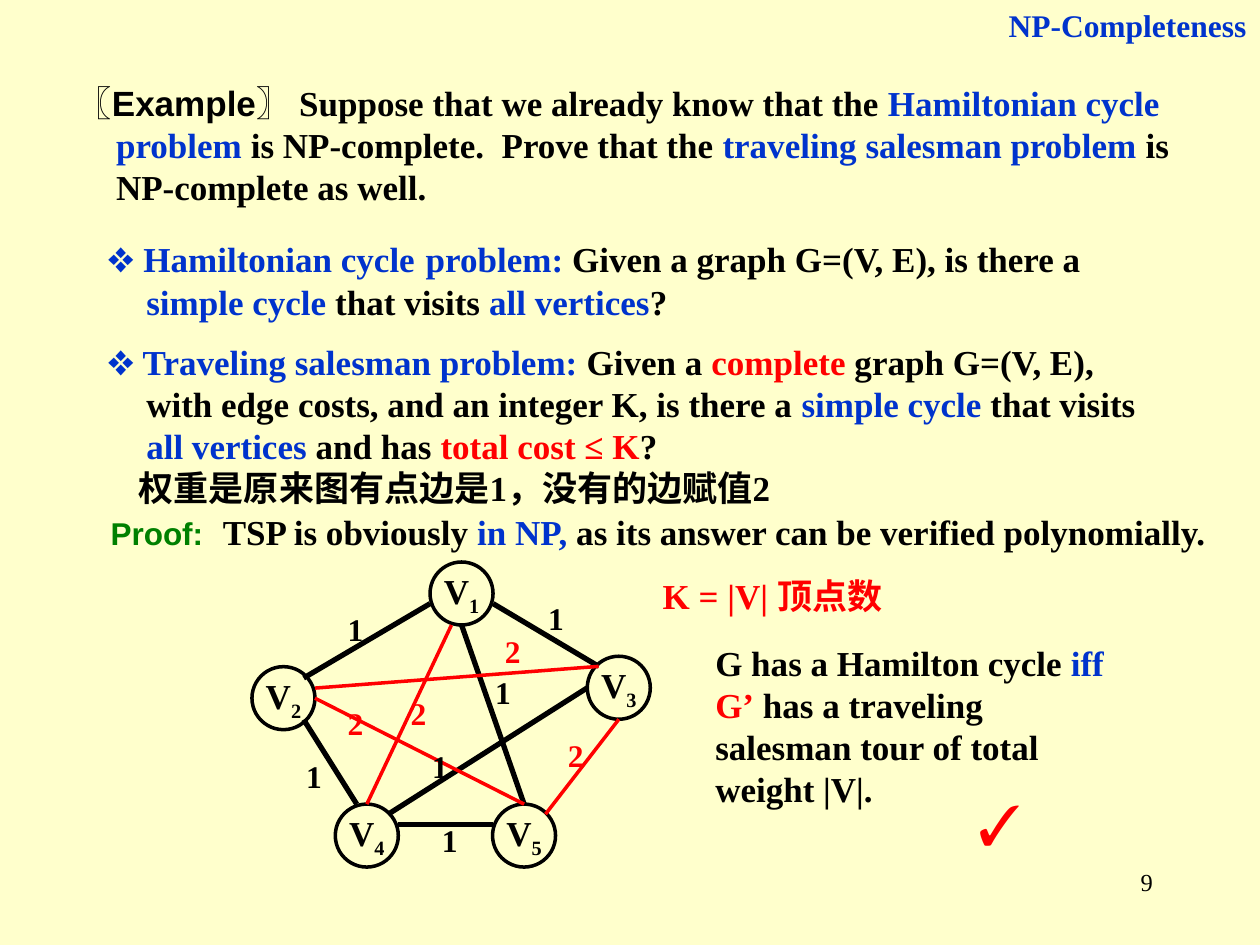
from pptx import Presentation, util as u
from pptx.dml.color import RGBColor
from pptx.enum import shapes, text
from pptx.oxml.ns import qn
from lxml import etree

THEME = dict(
    bg="FFFFCC", ink="000000", blue="0033CC", red="FF0000", green="008000",
    serif="Times New Roman", sans="Arial", cjk="Noto Sans CJK SC",
    body=20, small=18, tick=32, page=14, thick=3, thin=2,
)
PLAIN, MARK = "ink", "blue"

# Text blocks: box (left, top, width, height) in cm, hanging indent, paragraphs.
# A run is (text, colour) with optional font and size; a paragraph may have its own first indent.
BLOCKS = [
    ((1.3, 1.52, 22.86, 2.79), 0.79, [
        [("〖", PLAIN, "cjk"), ("Example", PLAIN, "sans"), ("〗 ", PLAIN, "cjk"),
         ("Suppose that we already know that the ", PLAIN),
         ("Hamiltonian cycle problem ", MARK),
         ("is NP-complete.  Prove that the ", PLAIN),
         ("traveling salesman problem", MARK), (" is NP-complete as well.", PLAIN)]]),
    ((1.91, 6.73, 21.59, 3.68), 0.79, [
        [("❖ Traveling salesman problem: ", MARK), ("Given a ", PLAIN), ("complete", "red"),
         (" graph G=(V, E), with edge costs, and an integer K, is there a ", PLAIN),
         ("simple cycle", MARK), (" that visits ", PLAIN), ("all vertices", MARK),
         (" and has ", PLAIN), ("total cost ≤ K", "red"), ("?", PLAIN)],
        [("权重是原来图有点边是1，没有的边赋值2", PLAIN)]]),
    ((1.91, 4.52, 21.59, 2.11), 0.79, [
        [("❖ Hamiltonian cycle", MARK), (" ", PLAIN, "serif", 24), ("problem: ", MARK),
         ("Given a graph G=(V, E), is there a ", PLAIN), ("simple cycle", MARK),
         (" that visits ", PLAIN), ("all vertices", MARK), ("?", PLAIN)]]),
    ((1.98, 10.16, 23.29, 1.12), 2.36, [
        [("Proof:", "green", "sans", THEME["small"]), ("  ", "green", "sans"),
         ("TSP is obviously ", PLAIN), ("in NP,", MARK),
         (" as its answer can be verified polynomially.", PLAIN)]]),
    ((13.11, 11.46, 4.93, 1.12), 0, [[("K = |V| 顶点数", "red")]]),
    ((14.17, 12.8, 8.69, 3.63), 0, [
        [("G has a Hamilton cycle ", PLAIN), ("iff ", MARK), ("G’", "red"),
         (" has a traveling salesman tour of total weight |V|.", PLAIN)]]),
]

# Graph: node corners in cm; an edge joins points given as fractions of each node's box
NODE = 1.27
NODES = {1: (8.67, 11.33), 2: (5.08, 13.44), 3: (11.84, 13.23), 4: (6.76, 16.21), 5: (9.93, 16.21)}
EDGES = {
    ("ink", "thick"): [
        (1, (0, .66), 2, (.82, .18)), (3, (0, .5), 4, (.84, .16)),
        (1, (1, .66), 3, (.18, .16)), (2, (.82, .84), 4, (.34, 0)),
        (4, (1, .32), 5, (0, .32)), (1, (.5, 1), 5, (.5, 0))],
    ("red", "thin"): [
        (1, (.34, 1), 4, (.5, 0)), (2, (1, .34), 3, (.18, .16)),
        (3, (.5, 1), 5, (.84, .16)), (2, (1, .5), 5, (.5, 0))],
}
COSTS = {
    ("1", "ink"): [(5.92, 15.14), (8.66, 16.43), (8.46, 14.94),
                   (6.76, 12.17), (9.73, 13.44), (10.8, 11.96)],
    ("2", "red"): [(9.93, 12.62), (11.2, 14.71), (8.03, 13.87), (6.76, 14.07)],
}


def color(name):
    return RGBColor.from_string(THEME[name])


def cm(values):
    return [u.Cm(v) for v in values]


def style(font, ink, face="serif", size=THEME["body"], bold=True):
    font.name, font.size, font.bold = THEME[face], u.Pt(size), bold
    font.color.rgb = color(ink)


def add_run(p, words, ink, face="serif", size=THEME["body"]):
    r = p.add_run()
    r.text = words
    style(r.font, ink, face, size)
    ea = etree.SubElement(r._r.rPr, qn("a:ea"))
    ea.set("typeface", THEME["cjk"])
    return r


def add_box(s, box):
    tf = s.shapes.add_textbox(*cm(box)).text_frame
    tf.word_wrap = True
    return tf


def add_label(s, box, words, ink, size, align=text.PP_ALIGN.LEFT, bold=True):
    p = add_box(s, box).paragraphs[0]
    p.text, p.alignment = words, align
    style(p.font, ink, size=size, bold=bold)


def add_block(s, box, hang, paras):
    tf = add_box(s, box)
    for i, runs in enumerate(paras):
        p = tf.add_paragraph() if i else tf.paragraphs[0]
        if hang:
            pPr = p._p.get_or_add_pPr()
            pPr.set("marL", str(u.Cm(hang)))
            pPr.set("indent", str(u.Cm(-0.15 if i else -hang)))
        for run in runs:
            add_run(p, *run)


def add_node(s, number, corner):
    sp = s.shapes.add_shape(shapes.MSO_SHAPE.OVAL, *cm((*corner, NODE, NODE)))
    sp.shadow.inherit = False
    sp.fill.background()
    sp.line.color.rgb, sp.line.width = color("ink"), u.Pt(THEME["thin"])
    tf = sp.text_frame
    tf.margin_left = tf.margin_right = tf.margin_top = tf.margin_bottom = 0
    tf.word_wrap, tf.vertical_anchor = False, text.MSO_ANCHOR.MIDDLE
    p = tf.paragraphs[0]
    p.alignment = text.PP_ALIGN.CENTER
    add_run(p, "V", "ink")
    add_run(p, str(number), "ink").font._element.set("baseline", "-25000")


def add_edge(s, start, start_at, end, end_at, ink, weight):
    points = [corner + NODE * f
              for n, at in ((start, start_at), (end, end_at))
              for corner, f in zip(NODES[n], at)]
    c = s.shapes.add_connector(shapes.MSO_CONNECTOR.STRAIGHT, *cm(points))
    c.line.color.rgb, c.line.width = color(ink), u.Pt(THEME[weight])
    etree.SubElement(c._element.spPr, qn("a:effectLst"))


def main():
    prs = Presentation()
    prs.slide_width, prs.slide_height = u.Cm(25.4), u.Cm(19.05)
    s = prs.slides.add_slide(prs.slide_layouts[6])
    s.background.fill.solid()
    s.background.fill.fore_color.rgb = color("bg")

    # Page number and statements
    add_label(s, (18.21, 17.35, 5.28, 1.27), "9", "ink", THEME["page"],
              text.PP_ALIGN.RIGHT, bold=False)
    for block in BLOCKS:
        add_block(s, *block)

    # Weighted complete graph
    for number, corner in NODES.items():
        add_node(s, number, corner)
    for (ink, weight), edges in EDGES.items():
        for edge in edges:
            add_edge(s, *edge, ink, weight)
    for (cost, ink), places in COSTS.items():
        for place in places:
            add_label(s, (*place, 0.84, 1.02), cost, ink, THEME["small"])

    # Check mark and running title
    add_label(s, (19.3, 15.8, 1.7, 1.6), "✓", "red", THEME["tick"], text.PP_ALIGN.CENTER)
    add_label(s, (17.86, 0, 7.52, 1.02), "NP-Completeness", "blue", THEME["small"],
              text.PP_ALIGN.RIGHT)
    prs.save("out.pptx")


if __name__ == "__main__":
    main()
